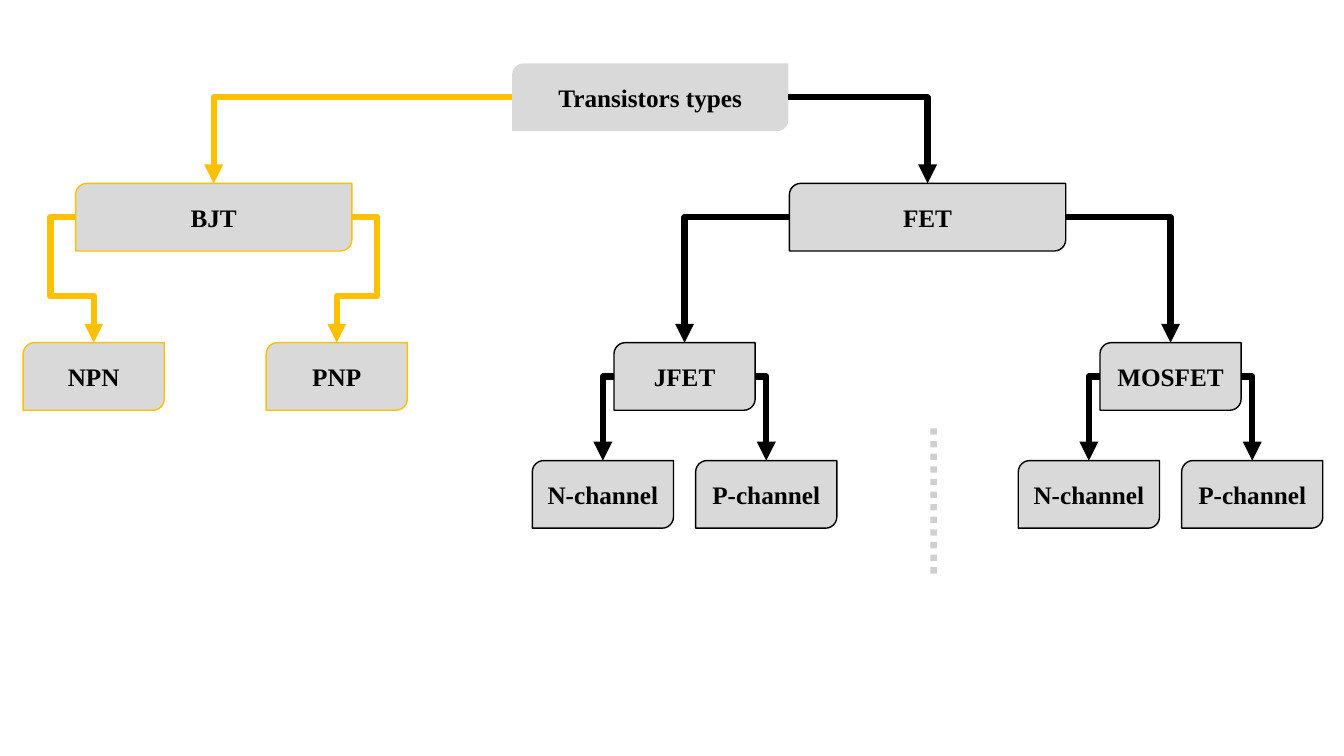
import dataclasses

import pptx
import pptx.dml.color
import pptx.enum.dml
import pptx.enum.shapes
import pptx.enum.text
import pptx.oxml.ns
import pptx.oxml.xmlchemy
import pptx.util

Inches = pptx.util.Inches
qn = pptx.oxml.ns.qn


@dataclasses.dataclass(frozen=True)
class Theme:
    font: str = "Times New Roman"
    text_size: float = 18
    ink: str = "000000"
    amber: str = "FFC000"
    box_fill: str = "D9D9D9"
    outline: float = 1
    stroke: float = 4.5


@dataclasses.dataclass(frozen=True)
class Node:
    """A labelled box, placed by its centre column and tree level."""
    label: str
    center: float
    level: int
    color: str = ""
    children: tuple = ()

    @property
    def width(self):
        return WIDE if self.level < 2 else NARROW

    @property
    def top(self):
        return LEVEL_TOPS[self.level]

    @property
    def middle(self):
        return self.top + BOX_HEIGHT / 2


THEME = Theme()
SLIDE_WIDTH, SLIDE_HEIGHT = 13.33, 7.5
LEVEL_TOPS = (0.63, 1.82, 3.4, 4.57)
BOX_HEIGHT = 0.67
WIDE, NARROW = 2.74, 1.4
LEAF_OFFSET = 0.81    # channel boxes on each side of their parent
FET_OFFSET = 2.41     # JFET and MOSFET on each side of FET
DETOUR = 0.25         # how far a stepped arrow leaves its parent
STEP_SHARE = 0.63     # share of the drop before a stepped arrow turns


def rgb(color):
    return pptx.dml.color.RGBColor.from_string(color)


def add_element(parent, tag, **attributes):
    element = pptx.oxml.xmlchemy.OxmlElement(tag)
    for name, value in attributes.items():
        element.set(name, value)
    parent.append(element)
    return element


def build_tree():
    def field_effect(label, center):
        leaves = tuple(
            Node(name, center + side * LEAF_OFFSET, 3, THEME.ink)
            for name, side in (("N-channel", -1), ("P-channel", 1)))
        return Node(label, center, 2, THEME.ink, leaves)

    bipolar = Node("BJT", 2.12, 1, THEME.amber, (
        Node("NPN", 0.93, 2, THEME.amber),
        Node("PNP", 3.34, 2, THEME.amber)))
    fet_center = 9.2
    fet = Node("FET", fet_center, 1, THEME.ink, (
        field_effect("JFET", fet_center - FET_OFFSET),
        field_effect("MOSFET", fet_center + FET_OFFSET)))
    return Node("Transistors types", 6.45, 0, children=(bipolar, fet))


def add_box(page, node):
    box = page.shapes.add_shape(
        pptx.enum.shapes.MSO_SHAPE.ROUND_2_DIAG_RECTANGLE,
        Inches(node.center - node.width / 2), Inches(node.top),
        Inches(node.width), Inches(BOX_HEIGHT))
    box.shadow.inherit = False
    box.fill.solid()
    box.fill.fore_color.rgb = rgb(THEME.box_fill)
    if node.color:
        box.line.color.rgb = rgb(node.color)
        box.line.width = pptx.util.Pt(THEME.outline)
    else:
        box.line.fill.background()
    frame = box.text_frame
    frame.text = node.label
    frame.vertical_anchor = pptx.enum.text.MSO_ANCHOR.MIDDLE
    para = frame.paragraphs[0]
    para.alignment = pptx.enum.text.PP_ALIGN.CENTER
    font = para.runs[0].font
    font.name = THEME.font
    font.size = pptx.util.Pt(THEME.text_size)
    font.bold = True
    font.color.rgb = rgb(THEME.ink)


def add_line(page, kind, start, end, color):
    line = page.shapes.add_connector(
        kind, *(Inches(value) for value in (*start, *end)))
    line.line.color.rgb = rgb(color)
    line.line.width = pptx.util.Pt(THEME.stroke)
    add_element(line._element.spPr, "a:effectLst")
    return line


def add_arrow(page, parent, child):
    side = -1 if child.center < parent.center else 1
    edge = parent.center + side * parent.width / 2
    arrow = add_line(page, pptx.enum.shapes.MSO_CONNECTOR.ELBOW,
                     (edge, parent.middle), (child.center, child.top),
                     child.color)
    # A child outside the parent's edge needs one bend, otherwise three
    geometry = arrow._element.spPr.find(qn("a:prstGeom"))
    if (child.center - edge) * side > 0:
        geometry.set("prst", "bentConnector2")
    else:
        geometry.set("prst", "bentConnector4")
        guides = geometry.find(qn("a:avLst"))
        if guides is None:
            guides = add_element(geometry, "a:avLst")
        shares = (-DETOUR / abs(child.center - edge), STEP_SHARE)
        for number, share in enumerate(shares, 1):
            add_element(guides, "a:gd", name=f"adj{number}",
                        fmla=f"val {round(share * 100000)}")
    add_element(arrow._element.spPr.find(qn("a:ln")), "a:tailEnd",
                type="triangle")


def add_divider(page, column, top, bottom):
    divider = add_line(page, pptx.enum.shapes.MSO_CONNECTOR.STRAIGHT,
                       (column, bottom), (column, top), THEME.ink)
    divider.line.dash_style = pptx.enum.dml.MSO_LINE.ROUND_DOT
    color = divider._element.spPr.find(".//" + qn("a:srgbClr"))
    add_element(color, "a:alpha", val="18000")


def add_branch(page, node):
    add_box(page, node)
    for child in node.children:
        add_branch(page, child)
        add_arrow(page, node, child)


def main():
    deck = pptx.Presentation()
    deck.slide_width = Inches(SLIDE_WIDTH)
    deck.slide_height = Inches(SLIDE_HEIGHT)
    page = deck.slides.add_slide(deck.slide_layouts.get_by_name("Blank"))

    # Tree of transistor types
    add_branch(page, build_tree())

    # Dotted divider between the JFET and MOSFET families
    add_divider(page, 9.26, 4.19, 5.69)

    deck.save("out.pptx")


if __name__ == "__main__":
    main()
